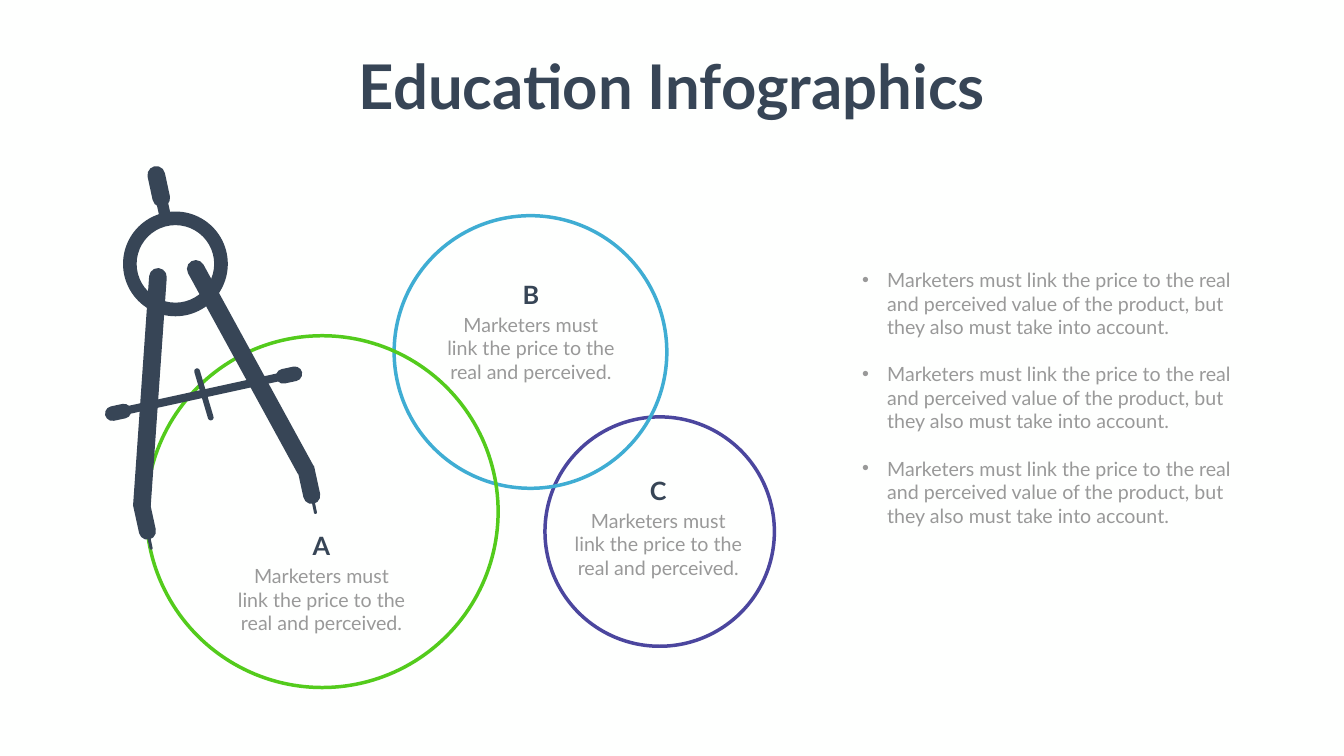
import math

from lxml import etree
from pptx import Presentation
from pptx import util as u
from pptx.dml.color import RGBColor
from pptx.enum import shapes, text
from pptx.oxml.ns import qn

Cm, Pt = u.Cm, u.Pt
KIND = shapes.MSO_SHAPE

BACKGROUND = RGBColor(0xFE, 0xFF, 0xFE)
NAVY = RGBColor(0x37, 0x45, 0x56)
GREY = RGBColor(0x99, 0x99, 0x99)
GREEN = RGBColor(0x53, 0xCB, 0x1C)
BLUE = RGBColor(0x3F, 0xAD, 0xD3)
PURPLE = RGBColor(0x4B, 0x46, 0x9E)

FONT = "Lato"
CAPTION = "Marketers must link the price to the real and perceived."
POINT = ("Marketers must link the price to the real and perceived value of "
         "the product, but they also must take into account.")

# Circle left, top, diameter, colour
CIRCLES = [
    (27.46, 21.01, 11.56, PURPLE),
    (19.86, 10.87, 13.74, BLUE),
    (7.37, 16.92, 17.73, GREEN),
]
# Letter, left, top of each label
LABELS = [("B", 22.25, 13.94), ("A", 11.7, 26.62), ("C", 28.67, 23.83)]
LABEL_WIDTH, LETTER_HEIGHT, CAPTION_HEIGHT = 9, 1.69, 3.61


def place(shape, left, top, width, height):
    shape.left, shape.top = Cm(left), Cm(top)
    shape.width, shape.height = Cm(width), Cm(height)


def format_runs(paragraph, size, color, bold=False):
    for run in paragraph.runs:
        run.font.name = FONT
        run.font.size = Pt(size)
        run.font.bold = bold
        run.font.color.rgb = color


def add_title(slide, words):
    title = slide.shapes.title
    place(title, 17.48, 2.31, 32.74, 4.01)
    frame = title.text_frame
    frame.text = words
    frame.word_wrap = False
    frame.auto_size = text.MSO_AUTO_SIZE.NONE
    frame.vertical_anchor = text.MSO_ANCHOR.TOP
    frame.paragraphs[0].alignment = text.PP_ALIGN.CENTER
    format_runs(frame.paragraphs[0], 88, NAVY, bold=True)


def add_bullets(slide, points):
    body = slide.placeholders[1]
    place(body, 43.18, 13.39, 19.48, 14.63)
    frame = body.text_frame
    frame.text = "\n".join(points)
    frame.auto_size = text.MSO_AUTO_SIZE.NONE
    for index, paragraph in enumerate(frame.paragraphs):
        paragraph.space_before = Pt(33.6 if index else 0)
        properties = paragraph._p.get_or_add_pPr()
        properties.set("marL", str(Cm(1.27)))
        properties.set("indent", str(Cm(-1.27)))
        etree.SubElement(properties, qn("a:buChar")).set("char", "•")
        format_runs(paragraph, 28, GREY)


def add_circle(slide, left, top, diameter, color):
    circle = slide.shapes.add_shape(
        KIND.OVAL, Cm(left), Cm(top), Cm(diameter), Cm(diameter))
    circle.shadow.inherit = False
    circle.fill.background()
    circle.line.color.rgb = color
    circle.line.width = Pt(5)


def add_centred_text(slide, words, left, top, height, size, color, bold=False):
    box = slide.shapes.add_textbox(
        Cm(left), Cm(top), Cm(LABEL_WIDTH), Cm(height))
    frame = box.text_frame
    frame.word_wrap = True
    frame.text = words
    frame.paragraphs[0].alignment = text.PP_ALIGN.CENTER
    format_runs(frame.paragraphs[0], size, color, bold)


def add_label(slide, letter, left, top):
    add_centred_text(slide, CAPTION, left, top + LETTER_HEIGHT,
                     CAPTION_HEIGHT, 28, GREY)
    add_centred_text(slide, letter, left, top, LETTER_HEIGHT, 36, NAVY, True)


def add_solid(group, kind, left, top, width, height, adjustments=()):
    solid = group.shapes.add_shape(
        kind, Cm(left), Cm(top), Cm(width), Cm(height))
    solid.shadow.inherit = False
    solid.fill.solid()
    solid.fill.fore_color.rgb = NAVY
    solid.line.fill.background()
    for index, value in enumerate(adjustments):
        solid.adjustments[index] = value
    return solid


def add_bar(group, kind, start, end, width, adjustments=()):
    """Add a bar from start to end; the shape's top lies at start."""
    (x1, y1), (x2, y2) = start, end
    length = math.dist(start, end)
    bar = add_solid(group, kind, (x1 + x2 - width) / 2, (y1 + y2 - length) / 2,
                    width, length, adjustments)
    bar.rotation = math.degrees(math.atan2(x1 - x2, y2 - y1))


def add_capsule(group, start, end, width):
    add_bar(group, KIND.ROUNDED_RECTANGLE, start, end, width, (0.5,))


def add_limb(group, tip, end, width):
    """Add a bar that is round at the tip and flat at the end."""
    add_bar(group, KIND.ROUND_2_SAME_RECTANGLE, tip, end, width, (0.5, 0))


def add_compass(slide):
    compass = slide.shapes.add_group_shape()
    # Ring, neck and handle
    add_solid(compass, KIND.DONUT, 6.2, 10.66, 5.28, 5.28, (0.13,))
    add_bar(compass, KIND.RECTANGLE, (8.12, 9.97), (8.36, 11.06), 0.58)
    add_capsule(compass, (7.78, 8.38), (8.22, 10.42), 0.89)
    # Crossbar with its knobs and tick
    add_bar(compass, KIND.RECTANGLE, (6.53, 20.65), (14, 19.02), 0.41)
    for x, y in ((5.3, 20.92), (13.91, 19.04)):
        add_capsule(compass, (x, y), (x + 1.31, y - 0.28), 0.74)
    add_capsule(compass, (9.89, 18.57), (10.66, 21.18), 0.29)
    # Legs
    add_limb(compass, (7.99, 13.51), (7.15, 25.49), 0.89)
    add_limb(compass, (9.65, 13.16), (15.41, 23.69), 0.89)
    # Feet and needles
    for x, y in ((7.12, 25.36), (15.4, 23.56)):
        add_limb(compass, (x + 0.4, y + 1.83), (x, y), 0.86)
        add_capsule(compass, (x + 0.35, y + 1.58), (x + 0.51, y + 2.34), 0.15)


def main():
    presentation = Presentation()
    presentation.slide_width = Cm(67.72)
    presentation.slide_height = Cm(38.1)
    slide = presentation.slides.add_slide(presentation.slide_layouts[1])
    slide.background.fill.solid()
    slide.background.fill.fore_color.rgb = BACKGROUND

    add_title(slide, "Education Infographics")
    for circle in CIRCLES:
        add_circle(slide, *circle)
    add_compass(slide)
    for label in LABELS:
        add_label(slide, *label)
    add_bullets(slide, [POINT] * 3)
    presentation.save("out.pptx")


if __name__ == "__main__":
    main()
